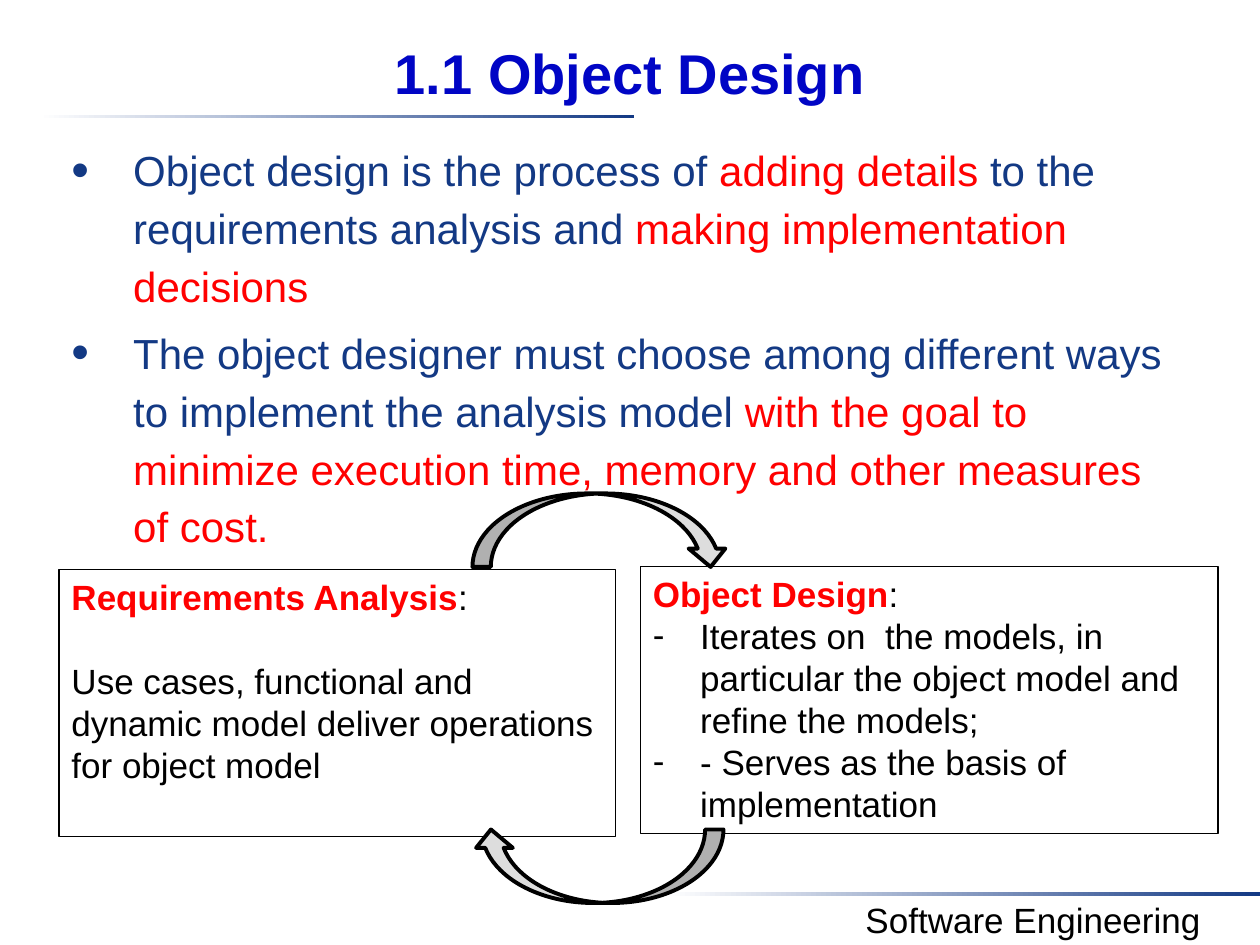
from typing import NamedTuple

import pptx
import pptx.dml.color
import pptx.enum.shapes
import pptx.enum.text
import pptx.oxml.ns
import pptx.util
from lxml import etree

Pt = pptx.util.Pt
SHAPE = pptx.enum.shapes.MSO_SHAPE
ALIGN = pptx.enum.text.PP_ALIGN
ANCHOR = pptx.enum.text.MSO_ANCHOR

FONT = "Arial"
BLACK, RED, NAVY, BLUE = "000000", "FF0000", "133984", "0005C5"
WHITE, GREY = "FFFFFF", "DDDDDD"


class Box(NamedTuple):
    left: float
    top: float
    width: float
    height: float


class Run(NamedTuple):
    text: str
    color: str = BLACK
    bold: bool = False


class Para(NamedTuple):
    runs: list[Run]
    bullet: str = ""
    indent: float = 0
    bullet_size: int = 100
    before: float = 0
    spacing: float = 1.0
    align: ALIGN = ALIGN.LEFT


class Arrow(NamedTuple):
    box: Box
    rotation: float


def rgb(color: str) -> pptx.dml.color.RGBColor:
    return pptx.dml.color.RGBColor.from_string(color)


def points(box: Box) -> list[pptx.util.Length]:
    return [Pt(v) for v in box]


def add_bullet(p, para: Para) -> None:
    pPr = p._p.get_or_add_pPr()
    pPr.set("marL", str(Pt(para.indent)))
    pPr.set("indent", str(-Pt(para.indent)))
    for tag, name, value in (
        ("a:buSzPct", "val", str(para.bullet_size * 1000)),
        ("a:buFont", "typeface", FONT),
        ("a:buChar", "char", para.bullet),
    ):
        etree.SubElement(pPr, pptx.oxml.ns.qn(tag)).set(name, value)


def write(tf, paras: list[Para], size: float) -> None:
    tf.word_wrap = True
    for i, para in enumerate(paras):
        p = tf.add_paragraph() if i else tf.paragraphs[0]
        if para.bullet:
            add_bullet(p, para)
        p.alignment = para.align
        p.line_spacing = para.spacing
        p.space_before = Pt(para.before)
        for run in para.runs:
            r = p.add_run()
            r.text = run.text
            r.font.name = FONT
            r.font.size = Pt(size)
            r.font.bold = run.bold
            r.font.color.rgb = rgb(run.color)


def add_text(s, box: Box, paras: list[Para], size: float, anchor=ANCHOR.TOP):
    sp = s.shapes.add_textbox(*points(box))
    sp.text_frame.vertical_anchor = anchor
    write(sp.text_frame, paras, size)
    return sp


def add_rule(s, box: Box) -> None:
    """Draw a thin bar that fades in from white on the left."""
    sp = s.shapes.add_shape(SHAPE.RECTANGLE, *points(box))
    sp.shadow.inherit = False
    sp.line.fill.background()
    sp.fill.gradient()
    sp.fill.gradient_angle = 0
    for stop, color, position in zip(sp.fill.gradient_stops, (WHITE, NAVY), (0, 1)):
        stop.color.rgb = rgb(color)
        stop.position = position


def add_card(s, box: Box, paras: list[Para]) -> None:
    sp = add_text(s, box, paras, 20)
    sp.line.color.rgb = rgb(BLACK)
    sp.line.width = Pt(0.75)


def add_arrow(s, arrow: Arrow) -> None:
    sp = s.shapes.add_shape(SHAPE.CURVED_DOWN_ARROW, *points(arrow.box))
    sp.shadow.inherit = False
    sp.rotation = arrow.rotation
    sp.fill.solid()
    sp.fill.fore_color.rgb = rgb(GREY)
    sp.line.color.rgb = rgb(BLACK)
    sp.line.width = Pt(2.25)


RULES = [Box(22.3, 65.5, 340, 2.2), Box(380, 509.8, 340, 2.2)]

BODY = [
    Para(
        [
            Run("Object design is the process of ", NAVY),
            Run("adding details", RED),
            Run(" to the requirements analysis and ", NAVY),
            Run("making implementation decisions", RED),
        ],
        "•", 35.3, 120, spacing=1.15,
    ),
    Para(
        [
            Run("The object designer must choose among different ways "
                "to implement the analysis model ", NAVY),
            Run("with the goal to minimize execution time, memory "
                "and other measures of cost.", RED),
        ],
        "•", 35.3, 120, before=4.8, spacing=1.15,
    ),
]

CARDS = [
    (Box(33.8, 325.4, 318, 152.6), [
        Para([Run("Requirements Analysis", RED, True), Run(":")]),
        Para([Run("Use cases, functional and dynamic model deliver "
                  "operations for object model")], before=24),
    ]),
    (Box(366, 323.8, 330, 152.6), [
        Para([Run("Object Design", RED, True), Run(":")]),
        Para([Run("Iterates on  the models, in particular the object model "
                  "and refine the models;")], "-", 27),
        Para([Run("- Serves as the basis of implementation")], "-", 27),
    ]),
]

ARROWS = [
    Arrow(Box(270, 282, 146.6, 42), 0),
    Arrow(Box(270, 474, 143.4, 42), 180),
]


def main() -> None:
    prs = pptx.Presentation()
    prs.slide_width, prs.slide_height = Pt(720), Pt(540)
    s = prs.slides.add_slide(prs.slide_layouts[6])
    for rule in RULES:
        add_rule(s, rule)
    add_text(s, Box(460.8, 509.8, 259.2, 31.5),
             [Para([Run("Software Engineering")], align=ALIGN.CENTER)], 20)
    add_text(s, Box(0, 14.4, 720, 54),
             [Para([Run("1.1 Object Design", BLUE, True)], align=ALIGN.CENTER)],
             32, ANCHOR.MIDDLE)
    add_text(s, Box(33.8, 75, 648, 399), BODY, 24)
    for box, paras in CARDS:
        add_card(s, box, paras)
    for arrow in ARROWS:
        add_arrow(s, arrow)
    prs.save("out.pptx")


if __name__ == "__main__":
    main()
